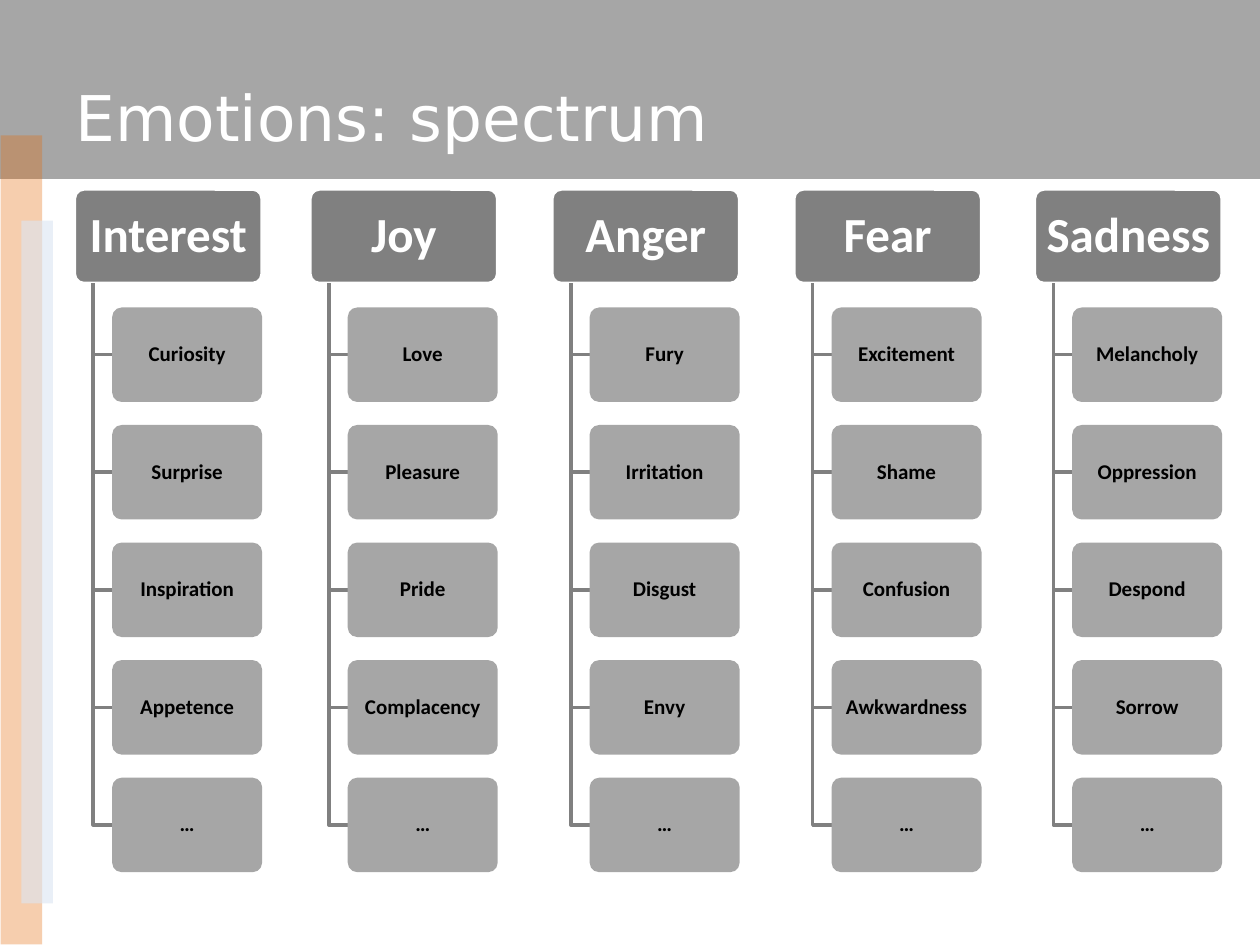
import pptx
import pptx.dml.color
import pptx.enum.shapes
import pptx.enum.text
import pptx.oxml.ns
import pptx.util
from lxml import etree
from pptx.util import Inches, Pt

SHAPE = pptx.enum.shapes.MSO_SHAPE
ALIGN = pptx.enum.text.PP_ALIGN
MIDDLE = pptx.enum.text.MSO_ANCHOR.MIDDLE

TITLE = "Emotions: spectrum"
EMOTIONS = [  # left edge, emotion, shades
    (0.59, "Interest", ["Curiosity", "Surprise", "Inspiration", "Appetence", "…"]),
    (2.46, "Joy", ["Love", "Pleasure", "Pride", "Complacency", "…"]),
    (4.38, "Anger", ["Fury", "Irritation", "Disgust", "Envy", "…"]),
    (6.3, "Fear", ["Excitement", "Shame", "Confusion", "Awkwardness", "…"]),
    (8.21, "Sadness", ["Melancholy", "Oppression", "Despond", "Sorrow", "…"]),
]
DECOR = [  # left, top, width, height, rotation, fill, opacity in percent
    (0, 0, 10, 1.42, 0, "A6A6A6", 100),
    (-3.04, 4.12, 6.42, 0.33, 270, "E46C0A", 33),
    (0.17, 1.75, 0.25, 5.42, 0, "DCE6F2", 61),
]
DARK, LIGHT, WHITE, BLACK = "808080", "A6A6A6", "FFFFFF", "000000"
HEAD_TOP, HEAD_W, SHADE_W, BOX_H = 1.5, 1.49, 1.19, 0.75
STEM_INDENT, SHADE_INDENT = 0.15, 0.3
SHADE_TOP, SHADE_STEP = 2.44, 0.933


def rgb(color):
    return pptx.dml.color.RGBColor.from_string(color)


def add_run(p, text, font, size, color, bold=False):
    r = p.add_run()
    r.text = text
    r.font.name, r.font.size, r.font.bold = font, Pt(size), bold
    r.font.color.rgb = rgb(color)


def add_filled(shapes, kind, box, fill):
    sp = shapes.add_shape(kind, *(Inches(v) for v in box))
    sp.shadow.inherit = False
    sp.fill.solid()
    sp.fill.fore_color.rgb = rgb(fill)
    sp.line.fill.background()
    return sp


def set_opacity(sp, percent):
    color = sp.fill._xPr.find(".//" + pptx.oxml.ns.qn("a:srgbClr"))
    etree.SubElement(color, pptx.oxml.ns.qn("a:alpha"), val=str(percent * 1000))


def add_label_box(shapes, box, fill, text, size, color, inset):
    sp = add_filled(shapes, SHAPE.ROUNDED_RECTANGLE, box, fill)
    sp.adjustments[0] = 0.1
    tf = sp.text_frame
    tf.word_wrap = True
    tf.vertical_anchor = MIDDLE
    tf.margin_left = tf.margin_right = Inches(inset)
    tf.margin_top = tf.margin_bottom = Inches(inset * 2 / 3)
    p = tf.paragraphs[0]
    p.alignment = ALIGN.CENTER
    p.line_spacing = 0.9
    add_run(p, text, "Calibri", size, color, bold=True)
    return sp


def add_elbow(shapes, x, top, right, bottom):
    """Draw a line down from the heading, then right to a shade box."""
    builder = shapes.build_freeform(Inches(x), Inches(top))
    corners = [(x, bottom), (right, bottom)]
    builder.add_line_segments([(Inches(a), Inches(b)) for a, b in corners], close=False)
    sp = builder.convert_to_shape()
    sp.shadow.inherit = False
    sp.fill.background()
    sp.line.color.rgb = rgb(DARK)
    sp.line.width = Pt(2)


def add_column(s, left, emotion, shades):
    shapes = s.shapes.add_group_shape().shapes
    head = add_label_box(shapes, (left, HEAD_TOP, HEAD_W, BOX_H), DARK, emotion, 28, WHITE, 0.06)
    head.line.color.rgb = rgb(WHITE)
    head.line.width = Pt(2)
    x = left + SHADE_INDENT
    for i, shade in enumerate(shades):
        top = SHADE_TOP + i * SHADE_STEP
        add_elbow(shapes, left + STEM_INDENT, HEAD_TOP + BOX_H, x, top + BOX_H / 2)
        add_label_box(shapes, (x, top, SHADE_W, BOX_H), LIGHT, shade, 12, BLACK, 0.03)


def main():
    prs = pptx.Presentation()
    prs.slide_width, prs.slide_height = Inches(10), Inches(7.5)
    s = prs.slides.add_slide(prs.slide_layouts[5])

    for *box, rotation, fill, opacity in DECOR:
        sp = add_filled(s.shapes, SHAPE.RECTANGLE, box, fill)
        sp.rotation = rotation
        if opacity < 100:
            set_opacity(sp, opacity)

    title = s.shapes.title
    s.shapes._spTree.append(title._element)  # bring in front of the band
    title.left, title.top = Inches(0.5), Inches(0.3)
    title.width, title.height = Inches(9), Inches(1.25)
    title.text_frame.vertical_anchor = MIDDLE
    p = title.text_frame.paragraphs[0]
    p.alignment = ALIGN.LEFT
    add_run(p, TITLE, "DejaVu Sans", 36, WHITE)

    for left, emotion, shades in EMOTIONS:
        add_column(s, left, emotion, shades)
    prs.save("out.pptx")


if __name__ == "__main__":
    main()
